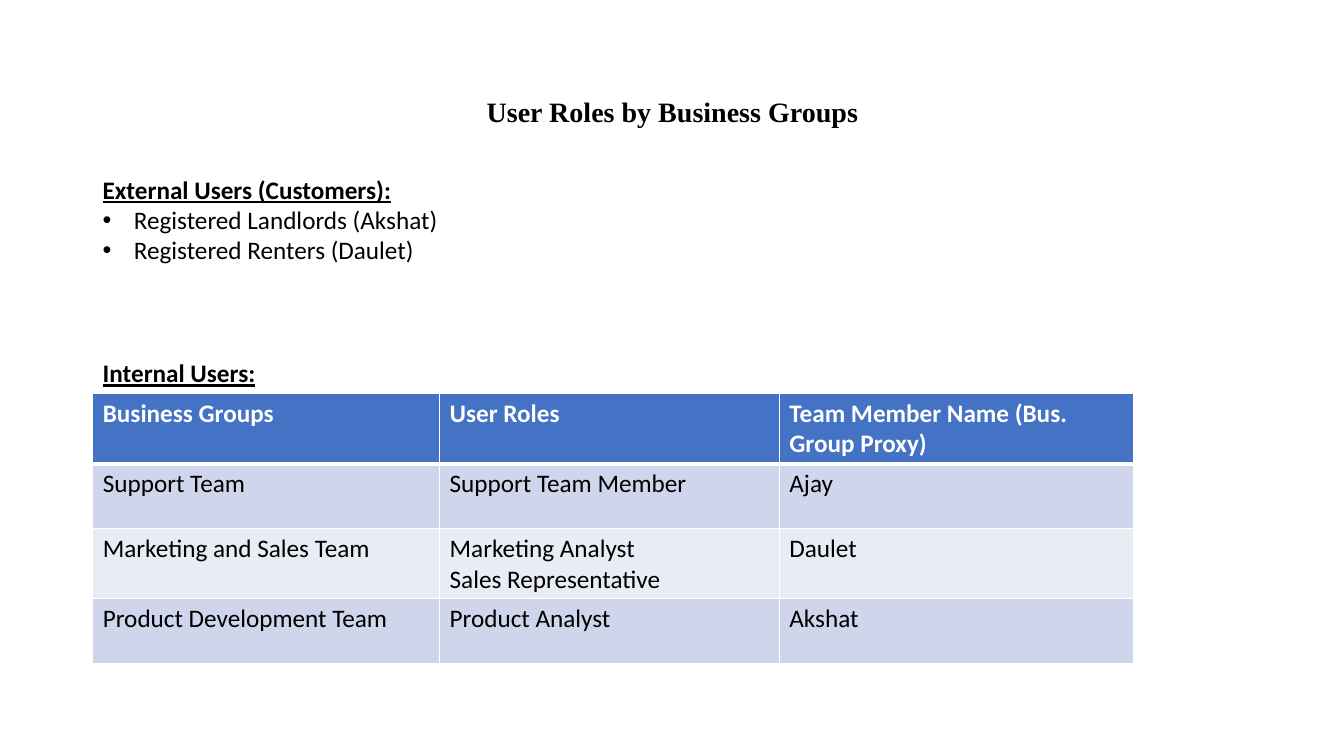
from dataclasses import dataclass

from lxml import etree
from pptx import Presentation
from pptx.dml.color import RGBColor
from pptx.enum import text
from pptx.oxml import ns
from pptx.util import Inches, Pt


@dataclass(frozen=True)
class Theme:
    serif: str = "Times New Roman"
    sans: str = "Calibri"
    head: int = 20
    body: int = 18
    black: str = "000000"
    white: str = "FFFFFF"
    blue: str = "4472C4"
    bands: tuple[str, ...] = ("CFD5EA", "E9EBF5")
    thin: float = 1
    thick: float = 3


@dataclass(frozen=True)
class Line:
    words: str
    bullet: bool = False
    gap: float = 0


@dataclass(frozen=True)
class Row:
    group: str
    roles: str
    member: str


THEME = Theme()
LEFT, WIDE = Inches(0.92), Inches(11.5)
USERS = (
    Line("External Users (Customers):"),
    Line("Registered Landlords (Akshat)", bullet=True),
    Line("Registered Renters (Daulet)", bullet=True),
    Line("Internal Users:", gap=66),
)
ROWS = (
    Row("Business Groups", "User Roles", "Team Member Name (Bus. Group Proxy)"),
    Row("Support Team", "Support Team Member", "Ajay"),
    Row("Marketing and Sales Team", "Marketing Analyst\nSales Representative", "Daulet"),
    Row("Product Development Team", "Product Analyst", "Akshat"),
)
COLS = (3.44, 3.37, 3.51)
HIGH = 0.64


def write(para, words: str, *, size: int = THEME.body, face: str = THEME.sans,
          color: str = THEME.black, bold: bool = False, under: bool = False) -> None:
    run = para.add_run()
    run.text = words
    font = run.font
    font.size, font.name = Pt(size), face
    font.bold, font.underline = bold, under
    font.color.rgb = RGBColor.from_string(color)


def add_bullet(para) -> None:
    props = para._p.get_or_add_pPr()
    props.set("marL", str(Inches(0.31)))
    props.set("indent", str(-Inches(0.31)))
    etree.SubElement(props, ns.qn("a:buFont"), typeface="Arial")
    etree.SubElement(props, ns.qn("a:buChar"), char="•")


def add_edges(cell, base: float) -> None:
    """Draw white borders, with the bottom one as thick as base."""
    props = cell._tc.get_or_add_tcPr()
    for side, width in zip("LRTB", (THEME.thin, THEME.thin, THEME.thin, base)):
        edge = etree.SubElement(props, ns.qn(f"a:ln{side}"), w=str(Pt(width)))
        fill = etree.SubElement(edge, ns.qn("a:solidFill"))
        etree.SubElement(fill, ns.qn("a:srgbClr"), val=THEME.white)


def add_title(slide) -> None:
    title = slide.shapes.title
    title.left, title.top = LEFT, Inches(0.93)
    title.width, title.height = WIDE, Inches(0.4)
    frame = title.text_frame
    frame.auto_size = text.MSO_AUTO_SIZE.NONE
    frame.vertical_anchor = text.MSO_ANCHOR.MIDDLE
    para = frame.paragraphs[0]
    para.alignment = text.PP_ALIGN.CENTER
    para.line_spacing = 0.9
    write(para, "User Roles by Business Groups", size=THEME.head,
          face=THEME.serif, bold=True)


def add_users(slide) -> None:
    frame = slide.shapes.add_textbox(LEFT, Inches(1.68), WIDE, Inches(2.22)).text_frame
    frame.word_wrap = True
    for i, line in enumerate(USERS):
        para = frame.add_paragraph() if i else frame.paragraphs[0]
        para.space_before = Pt(line.gap)
        if line.bullet:
            add_bullet(para)
        write(para, line.words, bold=not line.bullet, under=not line.bullet)


def fill_cell(cell, words: str, row: int) -> None:
    head = row == 0
    add_edges(cell, THEME.thick if head else THEME.thin)
    cell.fill.solid()
    shade = THEME.blue if head else THEME.bands[(row - 1) % len(THEME.bands)]
    cell.fill.fore_color.rgb = RGBColor.from_string(shade)
    frame = cell.text_frame
    for i, part in enumerate(words.split("\n")):
        para = frame.add_paragraph() if i else frame.paragraphs[0]
        write(para, part, color=THEME.white if head else THEME.black, bold=head)


def add_roles(slide) -> None:
    table = slide.shapes.add_table(len(ROWS), len(COLS), LEFT, Inches(3.9),
                                   Inches(sum(COLS)), Inches(HIGH * len(ROWS))).table
    for col, width in zip(table.columns, COLS):
        col.width = Inches(width)
    for r, row in enumerate(ROWS):
        table.rows[r].height = Inches(HIGH)
        for c, words in enumerate((row.group, row.roles, row.member)):
            fill_cell(table.cell(r, c), words, r)


def main() -> None:
    deck = Presentation()
    deck.slide_width, deck.slide_height = Inches(13.33), Inches(7.5)
    slide = deck.slides.add_slide(deck.slide_layouts.get_by_name("Title Only"))
    add_users(slide)
    add_title(slide)
    add_roles(slide)
    deck.save("out.pptx")


if __name__ == "__main__":
    main()
